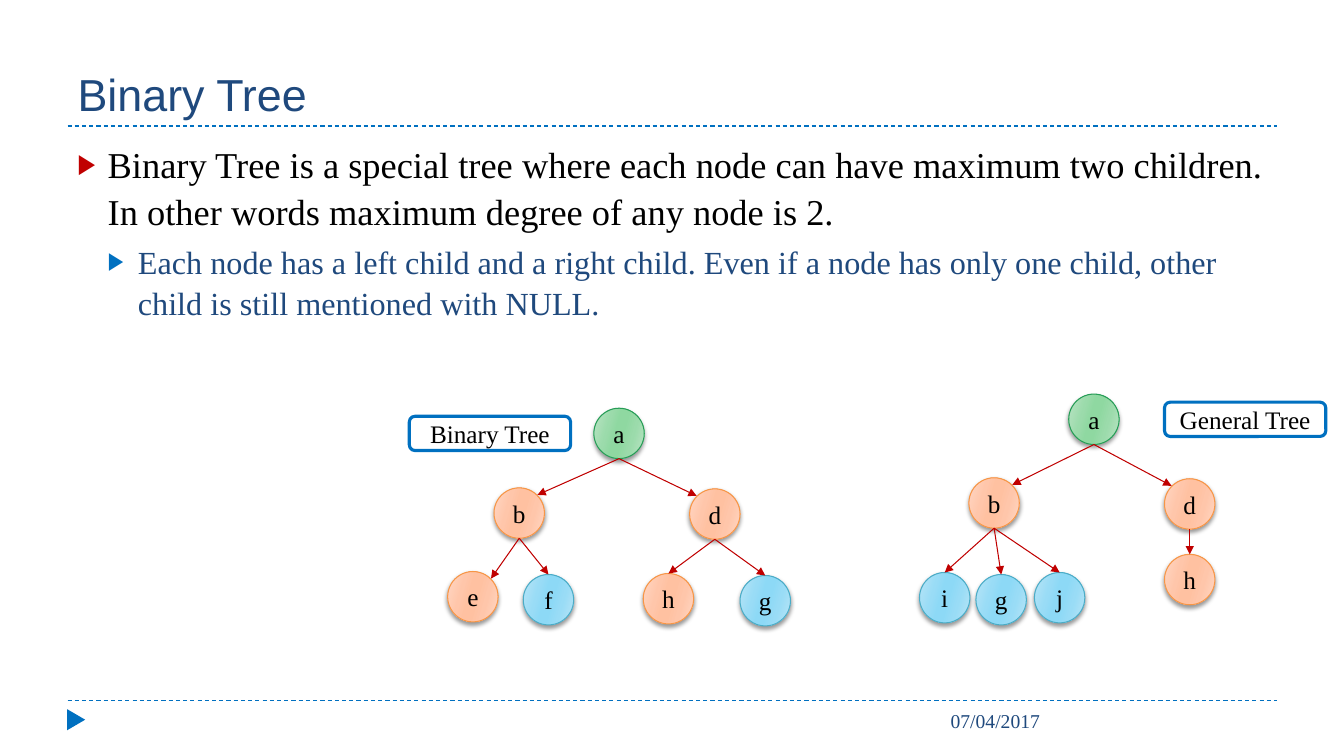
import pptx
import pptx.util
import pptx.dml.color
import pptx.enum.dml
import pptx.enum.shapes
import pptx.enum.text
import pptx.oxml
import pptx.oxml.ns
from lxml import etree

Inches, Pt = pptx.util.Inches, pptx.util.Pt
RGB = pptx.dml.color.RGBColor
Kind = pptx.enum.shapes.MSO_SHAPE
Align = pptx.enum.text.PP_ALIGN
Anchor = pptx.enum.text.MSO_ANCHOR
qn = pptx.oxml.ns.qn

NAVY = RGB(0x1F, 0x49, 0x7D)
BLUE = RGB(0x00, 0x70, 0xC0)
RED = RGB(0xC0, 0x00, 0x00)
BLACK = RGB(0, 0, 0)
WHITE = RGB(0xFF, 0xFF, 0xFF)
SERIF = "Times New Roman"

# Content
TITLE = "Binary Tree"
DATE = "07/04/2017"
# text, size, colour, bullet colour, space before
POINTS = [
    ("Binary Tree is a special tree where each node can have maximum two "
     "children. In other words maximum degree of any node is 2.",
     26, BLACK, RED, 6),
    ("Each node has a left child and a right child. Even if a node has only "
     "one child, other child is still mentioned with NULL.",
     23, NAVY, BLUE, 5),
]
# outline, then gradient from rim to core
TONES = {
    "green": (RGB(0x27, 0x9D, 0x57), ("BBE4C5", "9BDBAB", "8FD8A1")),
    "peach": (RGB(0xF7, 0x96, 0x46), ("FFD7C5", "FFC6AA", "FFC1A1")),
    "sky": (RGB(0x4B, 0xAC, 0xC6), ("B9E5F7", "99DCF6", "8DD9F6")),
}
# nodes: letter -> left, top, tone; edges: parent, child, end on the child
TREES = [
    {"label": ("Binary Tree", 4.06, 4.13),
     "nodes": {"a": (5.89, 4.05, "green"), "b": (4.9, 4.84, "peach"),
               "d": (6.84, 4.85, "peach"), "e": (4.44, 5.67, "peach"),
               "f": (5.19, 5.7, "sky"), "h": (6.38, 5.69, "peach"),
               "g": (7.34, 5.71, "sky")},
     "edges": [("a", "b", "right"), ("a", "d", "left"), ("b", "e", "right"),
               ("b", "f", "top"), ("d", "h", "top"), ("d", "g", "top")]},
    {"label": ("General Tree", 11.55, 3.99),
     "nodes": {"a": (10.6, 3.91, "green"), "b": (9.61, 4.74, "peach"),
               "d": (11.55, 4.75, "peach"), "h": (11.55, 5.5, "peach"),
               "i": (9.12, 5.68, "sky"), "j": (10.26, 5.68, "sky"),
               "g": (9.68, 5.7, "sky")},
     "edges": [("a", "b", "right"), ("a", "d", "left"), ("d", "h", "top"),
               ("b", "i", "top"), ("b", "g", "top"), ("b", "j", "top")]},
]
SIZE = 0.5
ENDS = {"top": (0.25, 0), "left": (0.07, 0.07), "right": (0.43, 0.07)}
STOPS = [(0, 0), (30, 1), (45, 2), (55, 2), (73, 1), (100, 0)]
SHADOW = ('<a:outerShdw blurRad="38100" dist="25400" dir="5400000" '
          'rotWithShape="0"><a:srgbClr val="000000"><a:alpha val="40000"/>'
          '</a:srgbClr></a:outerShdw>')

deck = pptx.Presentation()
deck.slide_width, deck.slide_height = Inches(13.33), Inches(7.5)
slide = deck.slides.add_slide(deck.slide_layouts[5])
shapes = slide.shapes


def sub(node, tag, **attrs):
    return etree.SubElement(node, qn(tag), attrs)


def place(shape, *box):
    shape.left, shape.top, shape.width, shape.height = map(Inches, box)


def style(par, size, color, face=SERIF, align=Align.LEFT):
    par.alignment = align
    par.font.size, par.font.name = Pt(size), face
    par.font.color.rgb = color


def link(start, end, color):
    line = shapes.add_connector(pptx.enum.shapes.MSO_CONNECTOR.STRAIGHT,
                                *map(Inches, start + end))
    line.line.color.rgb, line.line.width = color, Pt(0.75)
    sub(line._element.spPr, "a:effectLst")
    return line


def draw(kind, box, edge, width, text=""):
    shape = shapes.add_shape(kind, *map(Inches, box))
    shape.shadow.inherit = False
    shape.line.color.rgb, shape.line.width = edge, Pt(width)
    frame = shape.text_frame
    frame.vertical_anchor = Anchor.MIDDLE
    if text:
        frame.text = text
        style(frame.paragraphs[0], 18, BLACK, align=Align.CENTER)
    return shape


def add_node(text, left, top, tone):
    edge, shades = TONES[tone]
    node = draw(Kind.OVAL, (left, top, SIZE, SIZE), edge, 0.75, text)
    node.text_frame.margin_left = node.text_frame.margin_right = 0
    node.fill.gradient()
    node.fill.gradient_angle = 344
    props = node._element.spPr
    stops = props.find(".//" + qn("a:gsLst"))
    stops[:] = []
    for spot, shade in STOPS:
        stop = sub(stops, "a:gs", pos=str(spot * 1000))
        sub(stop, "a:srgbClr", val=shades[shade])
    shade = SHADOW.replace("<a:outerShdw", "<a:outerShdw "
                           + pptx.oxml.ns.nsdecls("a"), 1)
    props.find(qn("a:effectLst")).append(pptx.oxml.parse_xml(shade))


# Frame lines and corner mark
for y in (6.95, 1.25):
    rule = link((0.67, y), (12.67, y), BLUE)
    rule.line.dash_style = pptx.enum.dml.MSO_LINE.DASH
mark = draw(Kind.ISOSCELES_TRIANGLE, (0.65, 7.05, 0.21, 0.18), BLUE, 0.75)
mark.rotation = 90
mark.fill.solid()
mark.fill.fore_color.rgb = BLUE
mark.line.fill.background()

# Title
title = shapes.title
place(title, 0.67, 0.17, 12, 1.08)
title.text_frame.text = TITLE
title.text_frame.vertical_anchor = Anchor.BOTTOM
style(title.text_frame.paragraphs[0], 32, NAVY, "Arial")

# Date
date = shapes.add_textbox(*map(Inches, (9.33, 6.95, 3.34, 0.4))).text_frame
date.text = DATE
date.word_wrap = True
date.vertical_anchor = Anchor.MIDDLE
style(date.paragraphs[0], 14, NAVY)

# Bulleted points
body = shapes.add_textbox(*map(Inches, (0.67, 1.33, 12, 5.4))).text_frame
body.word_wrap = True
body.text = "\n".join(point[0] for point in POINTS)
for level, (par, point) in enumerate(zip(body.paragraphs, POINTS)):
    _, size, color, dot, gap = point
    par.level, par.line_spacing, par.space_before = level, 1.07, Pt(gap)
    props = par._p.get_or_add_pPr()
    props.set("marL", str(Inches(0.3 * (level + 1))))
    props.set("indent", str(Inches(-0.3)))
    sub(sub(props, "a:buClr"), "a:srgbClr", val=str(dot))
    sub(props, "a:buSzPct", val="76000")
    sub(props, "a:buFont", typeface="Arial")
    sub(props, "a:buChar", char="▶")
    style(par, size, color)

# Trees
for tree in TREES:
    nodes = tree["nodes"]
    for letter, spot in nodes.items():
        add_node(letter, *spot)
    for parent, child, end in tree["edges"]:
        (px, py, _), (cx, cy, _) = nodes[parent], nodes[child]
        dx, dy = ENDS[end]
        arrow = link((px + SIZE / 2, py + SIZE), (cx + dx, cy + dy), RED)
        sub(arrow.line._get_or_add_ln(), "a:tailEnd", type="triangle")
    text, left, top = tree["label"]
    label = draw(Kind.ROUNDED_RECTANGLE, (left, top, 1.6, 0.34), BLUE, 2.25,
                 text)
    label.fill.solid()
    label.fill.fore_color.rgb = WHITE

deck.save("out.pptx")
